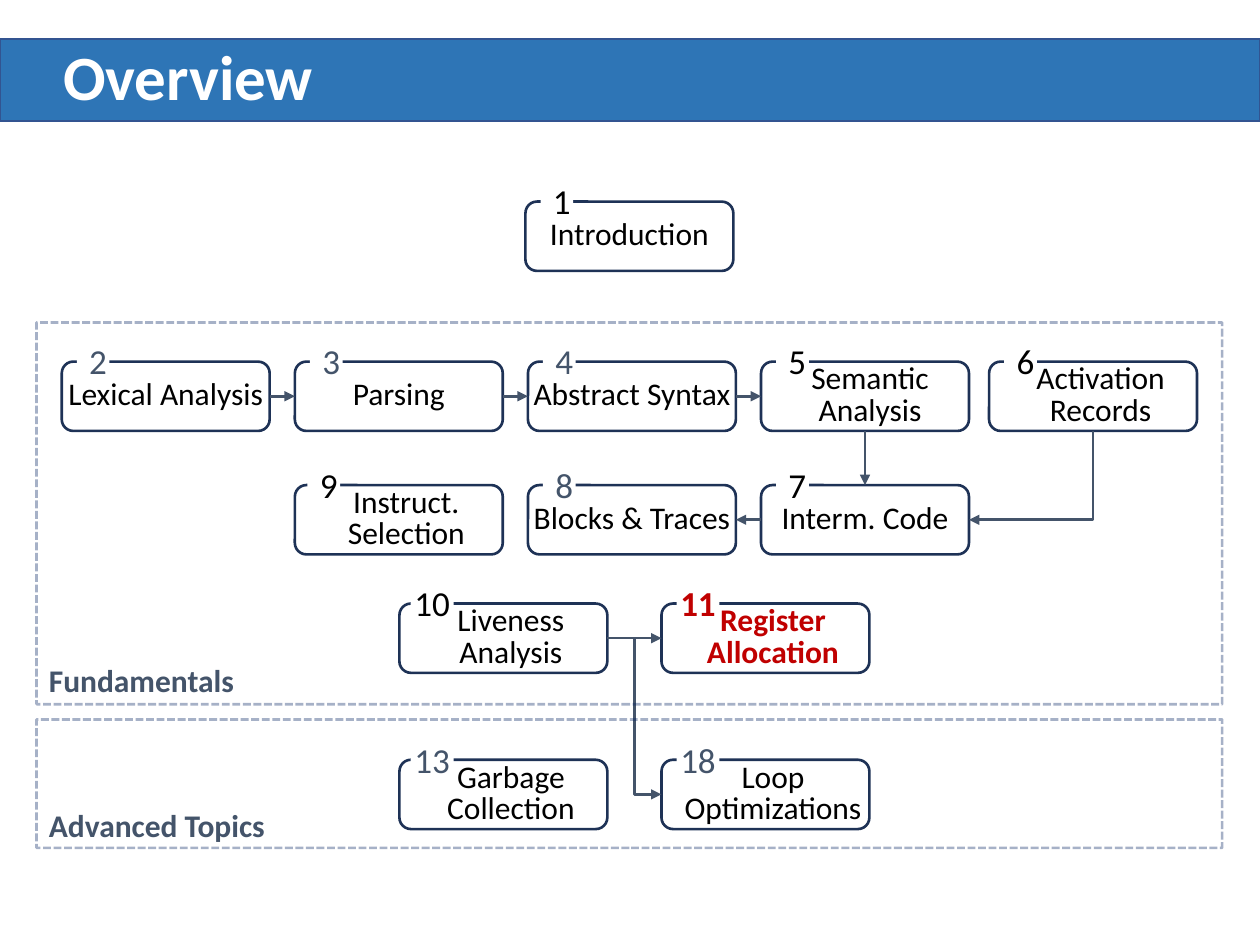
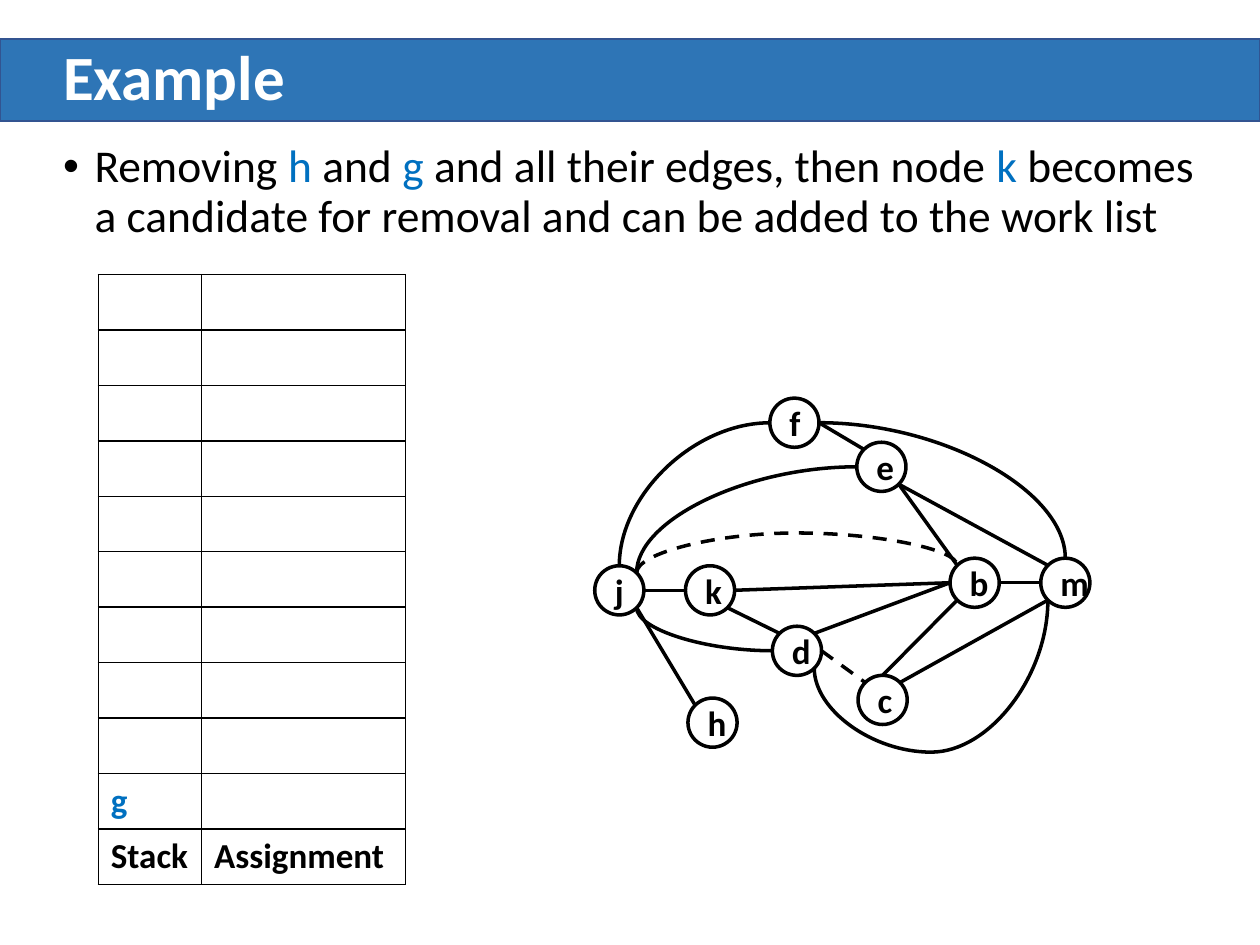
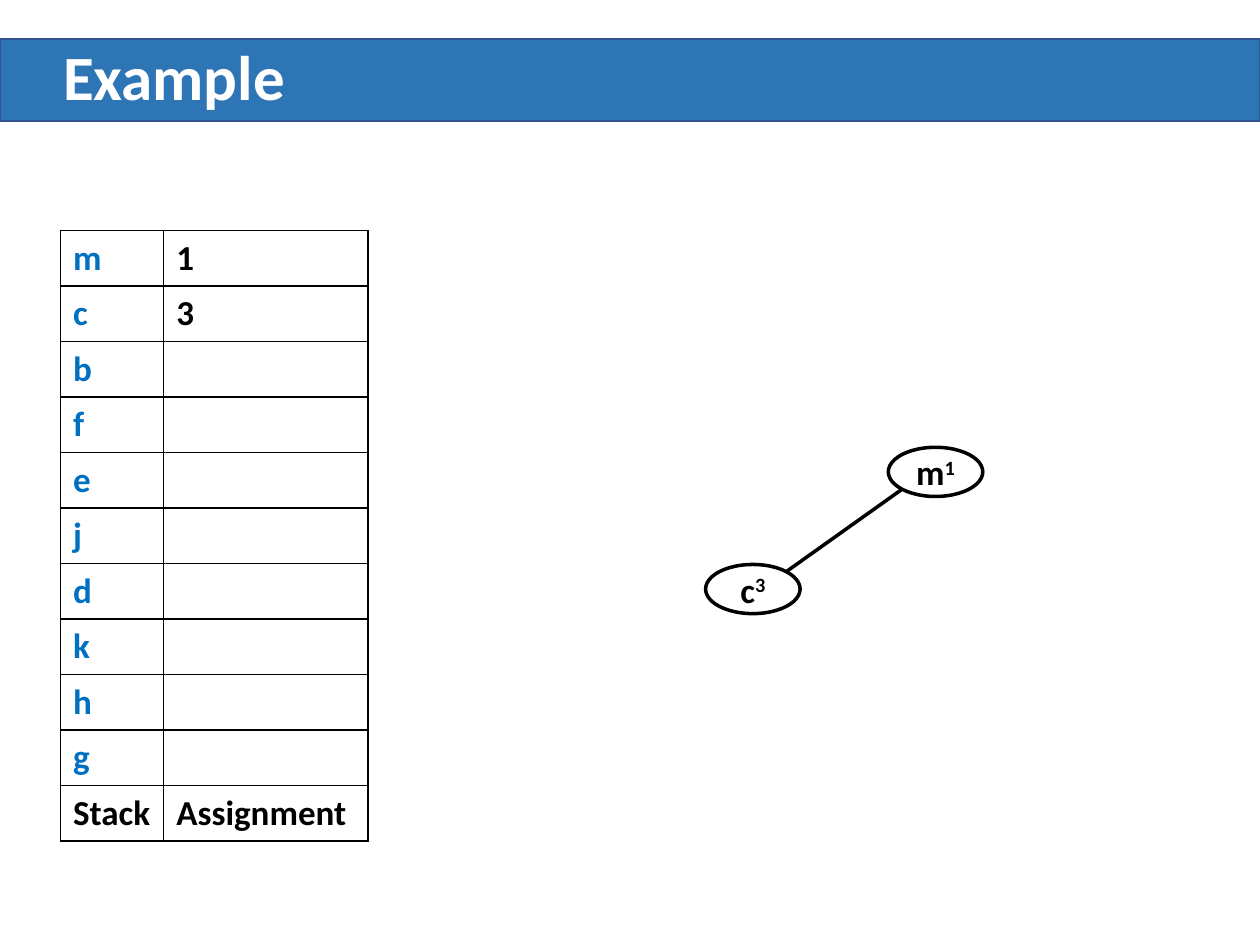
from math import sqrt

from lxml.etree import SubElement
from pptx import Presentation
from pptx.dml.color import RGBColor
from pptx.enum.dml import MSO_LINE
from pptx.enum.shapes import MSO_CONNECTOR, MSO_SHAPE
from pptx.enum.text import MSO_ANCHOR, MSO_AUTO_SIZE, PP_ALIGN
from pptx.oxml.ns import qn
from pptx.util import Inches, Pt

# Colours and font
BLACK = RGBColor(0x00, 0x00, 0x00)
WHITE = RGBColor(0xFF, 0xFF, 0xFF)
BAND = RGBColor(0x2E, 0x75, 0xB6)
BAND_EDGE = RGBColor(0x32, 0x54, 0x91)
NAVY = RGBColor(0x1E, 0x32, 0x56)
FRAME = RGBColor(0x00, 0x20, 0x60)
SLATE = RGBColor(0x44, 0x54, 0x6A)
RED = RGBColor(0xC0, 0x00, 0x00)
BLUE = RGBColor(0x00, 0x70, 0xC0)
FONT = "Calibri"

# Overview: number, label, left, top, left inset
COLUMNS = [0.49 + 1.85 * i for i in range(4)] + [7.85]
LOWER_LEFT, LOWER_RIGHT = 3.17, 5.25
INTRO, FRONT, MIDDLE, BACK, ADVANCED = 1.6, 2.87, 3.85, 4.79, 6.03
TOPICS = [
    (1, "Introduction", 4.17, INTRO, 0),
    (2, "Lexical Analysis", COLUMNS[0], FRONT, 0),
    (3, "Parsing", COLUMNS[1], FRONT, 0),
    (4, "Abstract Syntax", COLUMNS[2], FRONT, 0),
    (5, "Semantic Analysis", COLUMNS[3], FRONT, 0.08),
    (6, "Activation Records", COLUMNS[4], FRONT, 0.12),
    (7, "Interm. Code", COLUMNS[3], MIDDLE, 0),
    (8, "Blocks & Traces", COLUMNS[2], MIDDLE, 0),
    (9, "Instruct. Selection", COLUMNS[1], MIDDLE, 0.12),
    (10, "Liveness Analysis", LOWER_LEFT, BACK, 0.12),
    (11, "Register Allocation", LOWER_RIGHT, BACK, 0.12),
    (13, "Garbage Collection", LOWER_LEFT, ADVANCED, 0.12),
    (18, "Loop Optimizations", LOWER_RIGHT, ADVANCED, 0.12),
]
CURRENT = 11
MUTED = {2, 3, 4, 8, 13, 18}
NUMBER_INDENT = {9: 0.1, 10: 0.09, 13: 0.09}
TOPIC_SIZE = (1.65, 0.55)
FLOWS = [(2, "E", 3, "W"), (3, "E", 4, "W"), (4, "E", 5, "W"),
         (5, "S", 7, "N"), (7, "W", 8, "E"), (10, "E", 11, "W")]
# Label, label top, frame top, frame height
SECTIONS = [("Fundamentals", 5.2, 2.56, 3.03),
            ("Advanced Topics", 6.35, 5.71, 1.02)]

# Interference graph: nodes by left and top, edges by compass points
REMOVAL = [
    ("Removing ", {}), ("h ", {"colour": BLUE}), ("and ", {}),
    ("g ", {"colour": BLUE}), ("and all their edges, then node ", {}),
    ("k ", {"colour": BLUE}),
    ("becomes a candidate for removal and can be added to the work list", {}),
]
NODES = {"m": (8.26, 4.43), "f": (6.11, 3.16), "e": (6.8, 3.51),
         "b": (7.54, 4.43), "c": (6.81, 5.36), "d": (6.13, 4.97),
         "k": (5.44, 4.49), "j": (4.72, 4.49), "h": (5.46, 5.54)}
STRAIGHT = [
    ("d", "NE", "b", "W"), ("c", "NE", "m", "SW"), ("c", "N", "b", "SW"),
    ("k", "SE", "d", "NW"), ("j", "E", "k", "W"), ("k", "E", "b", "W"),
    ("e", "SE", "b", "NW"), ("f", "E", "e", "NW"), ("e", "SE", "m", "NW"),
    ("j", "SE", "h", "NW"), ("b", "E", "m", "W"),
]
# Curves end with the level an arch reaches and the dash
CURVES = [("f", "W", "j", "N", None, None), ("f", "E", "m", "N", None, None),
          ("j", "NE", "e", "W", None, None), ("j", "SE", "d", "W", None, None),
          ("d", "SE", "m", "SW", 5.97, None),
          ("j", "NE", "b", "NW", 4.23, MSO_LINE.DASH)]
MOVE_EDGE = ("d", "E", "c", "NW")
NODE_HEIGHT = 0.39

# Coloured graph: node, colour number, left, top
COLOURED = [("m", "1", 7.05, 3.55), ("c", "3", 5.6, 4.48)]

STACK_FOOT = ("Stack", "Assignment")
STACK_START = [("", "")] * 9 + [("g", "")]
STACK_LATER = [("m", "1"), ("c", "3")] + [(node, "") for node in "bfejdkhg"]

# Connection sites in their order on each outline
OVAL_SITES = ["N", "NW", "W", "SW", "S", "SE", "E", "NE"]
BOX_SITES = ["N", "W", "S", "E"]
# (starts vertically, goes right, goes down): quarter turns and flips
TURNS = {
    (False, True, True): (0, ()),
    (False, False, True): (2, ("flipV",)),
    (True, False, True): (1, ()),
    (True, True, True): (3, ("flipH",)),
    (True, True, False): (1, ("flipH", "flipV")),
}


def write(frame, content, size=18, colour=BLACK, bold=False,
          align=PP_ALIGN.LEFT, spacing=None):
    """Fill the first paragraph with a string or (text, overrides) runs."""
    paragraph = frame.paragraphs[0]
    paragraph.alignment = align
    paragraph.space_before = Pt(0)
    if spacing:
        paragraph.line_spacing = spacing
    runs = [(content, {})] if isinstance(content, str) else content
    for words, changes in runs:
        run = paragraph.add_run()
        run.text = words
        font = run.font
        font.name, font.size, font.bold = FONT, Pt(size), bold
        font.color.rgb = changes.get("colour", colour)
        if changes.get("raised"):
            font._element.set("baseline", "30000")
    return paragraph


def place(part, left, top, width, height):
    part.left, part.top = Inches(left), Inches(top)
    part.width, part.height = Inches(width), Inches(height)


def add_block(slide, kind, box, fill=None, line=None, weight=1.5):
    block = slide.shapes.add_shape(kind, *map(Inches, box))
    block.shadow.inherit = False
    if fill is None:
        block.fill.background()
    else:
        block.fill.solid()
        block.fill.fore_color.rgb = fill
    if line is None:
        block.line.fill.background()
    else:
        block.line.color.rgb = line
        block.line.width = Pt(weight)
    return block


def site(block, compass):
    """Point on the outline of a block in a compass direction."""
    across = ("E" in compass) - ("W" in compass)
    down = ("S" in compass) - ("N" in compass)
    reach = 1 / sqrt(2) if across and down else 1
    return (round(block.left + block.width * (1 + across * reach) / 2),
            round(block.top + block.height * (1 + down * reach) / 2))


def finish(stroke, colour, weight, dash, arrow):
    stroke.line.color.rgb = colour
    stroke.line.width = Pt(weight)
    if dash:
        stroke.line.dash_style = dash
    if arrow:
        SubElement(stroke.line._get_or_add_ln(), qn("a:tailEnd"), type="triangle")
    SubElement(stroke._element.spPr, qn("a:effectLst"))


def join(slide, start, end, colour=BLACK, weight=2, dash=None, arrow=False):
    stroke = slide.shapes.add_connector(MSO_CONNECTOR.STRAIGHT, *start, *end)
    finish(stroke, colour, weight, dash, arrow)


def route(slide, kind, start, end, vertical, level=None,
          colour=BLACK, weight=2, dash=None, arrow=False):
    """Connector with one corner, or an arch that reaches a level."""
    stroke = slide.shapes.add_connector(kind, *start, *end)
    dx, dy = end[0] - start[0], end[1] - start[1]
    turns, flips = TURNS[vertical, dx > 0, dy > 0]
    width, height = (abs(dy), abs(dx)) if vertical else (abs(dx), abs(dy))
    stroke.left = (start[0] + end[0] - width) // 2
    stroke.top = (start[1] + end[1] - height) // 2
    stroke.width, stroke.height = width, height

    # Turn and flip the box so that the first leg leaves the start
    xfrm = stroke._element.spPr.xfrm
    for flip in ("flipH", "flipV"):
        xfrm.set(flip, "1" if flip in flips else "0")
    xfrm.set("rot", str(turns * 90 * 60000))
    geometry = stroke._element.spPr.find(qn("a:prstGeom"))
    if level is None:
        geometry.set("prst", geometry.get("prst").replace("3", "2"))
    else:
        share = round((Inches(level) - start[1]) / dy * 100000)
        SubElement(geometry.find(qn("a:avLst")), qn("a:gd"),
                   name="adj1", fmla=f"val {share}")
    finish(stroke, colour, weight, dash, arrow)
    return stroke


def glue(stroke, end, block, sites, compass):
    holder = next(stroke._element.iter(qn("p:cNvCxnSpPr")))
    SubElement(holder, qn("a:" + end), id=str(block.shape_id),
               idx=str(sites.index(compass)))


def new_slide(prs, title, layout=5):
    slide = prs.slides.add_slide(prs.slide_layouts[layout])
    heading = slide.shapes.title
    place(heading, 0.4, 0.31, 9.24, 0.65)
    frame = heading.text_frame
    frame.auto_size = MSO_AUTO_SIZE.NONE
    frame.vertical_anchor = MSO_ANCHOR.MIDDLE
    write(frame, title, size=36, colour=WHITE, bold=True, spacing=0.9)
    return slide


def share_band(prs, slide):
    """Draw the title band and move it to the master."""
    band = add_block(slide, MSO_SHAPE.RECTANGLE, (0, 0.31, 10, 0.65),
                     BAND, BAND_EDGE, 1)
    prs.slide_master.shapes._spTree.insert(2, band._element)


def add_topic(slide, number, label, left, top, inset):
    current = number == CURRENT
    topic = add_block(slide, MSO_SHAPE.ROUNDED_RECTANGLE,
                      (left, top, *TOPIC_SIZE), line=NAVY)
    frame = topic.text_frame
    frame.margin_left = Inches(inset)
    frame.margin_right = frame.margin_top = frame.margin_bottom = 0
    frame.vertical_anchor = MSO_ANCHOR.MIDDLE
    write(frame, label, colour=RED if current else BLACK, bold=current,
          align=PP_ALIGN.CENTER, spacing=Pt(18))

    # Number set into the top edge
    wide = number > 9
    badge = add_block(slide, MSO_SHAPE.RECTANGLE,
                      (left + NUMBER_INDENT.get(number, 0.12), top - 0.16,
                       0.34 if wide else 0.26, 0.31), WHITE)
    if wide:
        badge.text_frame.margin_left = badge.text_frame.margin_right = 0
    colour = RED if current else SLATE if number in MUTED else BLACK
    write(badge.text_frame, str(number), size=20, colour=colour, bold=current,
          align=PP_ALIGN.CENTER)
    return topic


def add_node(slide, content, left, top, width=NODE_HEIGHT):
    node = add_block(slide, MSO_SHAPE.OVAL, (left, top, width, NODE_HEIGHT),
                     WHITE, BLACK, 2)
    write(node.text_frame, content, size=20, bold=True, align=PP_ALIGN.CENTER)
    return node


def add_stack(slide, entries, left, top, widths=(0.82, 1.62), row_height=0.44):
    rows = entries + [STACK_FOOT]
    stack = slide.shapes.add_table(
        len(rows), 2, Inches(left), Inches(top),
        Inches(sum(widths)), Inches(row_height * len(rows))).table
    stack.first_row = stack.horz_banding = False
    for column, width in zip(stack.columns, widths):
        column.width = Inches(width)
    for r, row in enumerate(rows):
        stack.rows[r].height = Inches(row_height)
        for c, entry in enumerate(row):
            cell = stack.cell(r, c)
            cell.fill.background()
            if entry:
                is_node = c == 0 and row != STACK_FOOT
                write(cell.text_frame, entry, size=20, bold=True,
                      colour=BLUE if is_node else BLACK)
            # Cell borders come before the fill
            properties = cell._tc.get_or_add_tcPr()
            for i, side in enumerate(("lnL", "lnR", "lnT", "lnB")):
                border = SubElement(properties, qn("a:" + side), w=str(Pt(1)))
                paint = SubElement(border, qn("a:solidFill"))
                SubElement(paint, qn("a:srgbClr"), val=str(BLACK))
                properties.insert(i, border)


def build_overview(prs):
    slide = new_slide(prs, "Overview")
    share_band(prs, slide)
    topics = {topic[0]: add_topic(slide, *topic) for topic in TOPICS}

    # Arrows between topics
    flow = {"colour": SLATE, "weight": 1.5, "arrow": True}
    for source, out, target, into in FLOWS:
        join(slide, site(topics[source], out), site(topics[target], into), **flow)
    to_code = route(slide, MSO_CONNECTOR.ELBOW, site(topics[6], "S"),
                    site(topics[7], "E"), True, **flow)
    glue(to_code, "stCxn", topics[6], BOX_SITES, "S")
    glue(to_code, "endCxn", topics[7], BOX_SITES, "E")
    liveness, loops = site(topics[10], "E"), site(topics[18], "W")
    fork = ((liveness[0] + loops[0]) // 2, liveness[1])
    to_loops = route(slide, MSO_CONNECTOR.ELBOW, fork, loops, True, **flow)
    glue(to_loops, "endCxn", topics[18], BOX_SITES, "W")

    # Dashed frames and their labels
    for label, label_top, top, height in SECTIONS:
        section = add_block(slide, MSO_SHAPE.RECTANGLE, (0.29, top, 9.41, height),
                            line=FRAME)
        section.line.dash_style = MSO_LINE.SQUARE_DOT
        ink = next(section._element.spPr.iter(qn("a:srgbClr")))
        SubElement(ink, qn("a:alpha"), val="35000")
        caption = slide.shapes.add_textbox(*map(Inches, (0.29, label_top, 5, 0.4)))
        caption.text_frame.word_wrap = True
        write(caption.text_frame, label, colour=SLATE, bold=True)


def build_removal(prs):
    slide = new_slide(prs, "Example", layout=1)
    body = slide.placeholders[1]
    place(body, 0.4, 1.09, 9.24, 5.66)
    body.text_frame.auto_size = MSO_AUTO_SIZE.NONE
    bullet = write(body.text_frame, REMOVAL, size=26, spacing=0.9)
    indent = bullet._p.get_or_add_pPr()
    indent.set("marL", str(Inches(0.25)))
    indent.set("indent", str(-Inches(0.25)))
    add_stack(slide, STACK_START, 0.78, 2.18)

    # Graph
    nodes = {name: add_node(slide, name, *spot) for name, spot in NODES.items()}

    def ends(source, out, target, into):
        return site(nodes[source], out), site(nodes[target], into)

    for edge in STRAIGHT:
        join(slide, *ends(*edge))
    join(slide, *ends(*MOVE_EDGE), dash=MSO_LINE.DASH)
    for source, out, target, into, level, dash in CURVES:
        curve = route(slide, MSO_CONNECTOR.CURVE, *ends(source, out, target, into),
                      out not in ("E", "W"), level, dash=dash)
        glue(curve, "stCxn", nodes[source], OVAL_SITES, out)
        glue(curve, "endCxn", nodes[target], OVAL_SITES, into)


def build_assignment(prs):
    slide = new_slide(prs, "Example")
    add_stack(slide, STACK_LATER, 0.48, 1.83)
    nodes = {}
    for name, number, left, top in COLOURED:
        content = [(name, {}), (number, {"raised": True})]
        nodes[name] = add_node(slide, content, left, top, width=0.75)
    join(slide, site(nodes["c"], "NE"), site(nodes["m"], "SW"))


def main():
    prs = Presentation()
    prs.slide_width, prs.slide_height = Inches(10), Inches(7.5)
    build_overview(prs)
    build_removal(prs)
    build_assignment(prs)
    prs.save("out.pptx")


if __name__ == "__main__":
    main()
